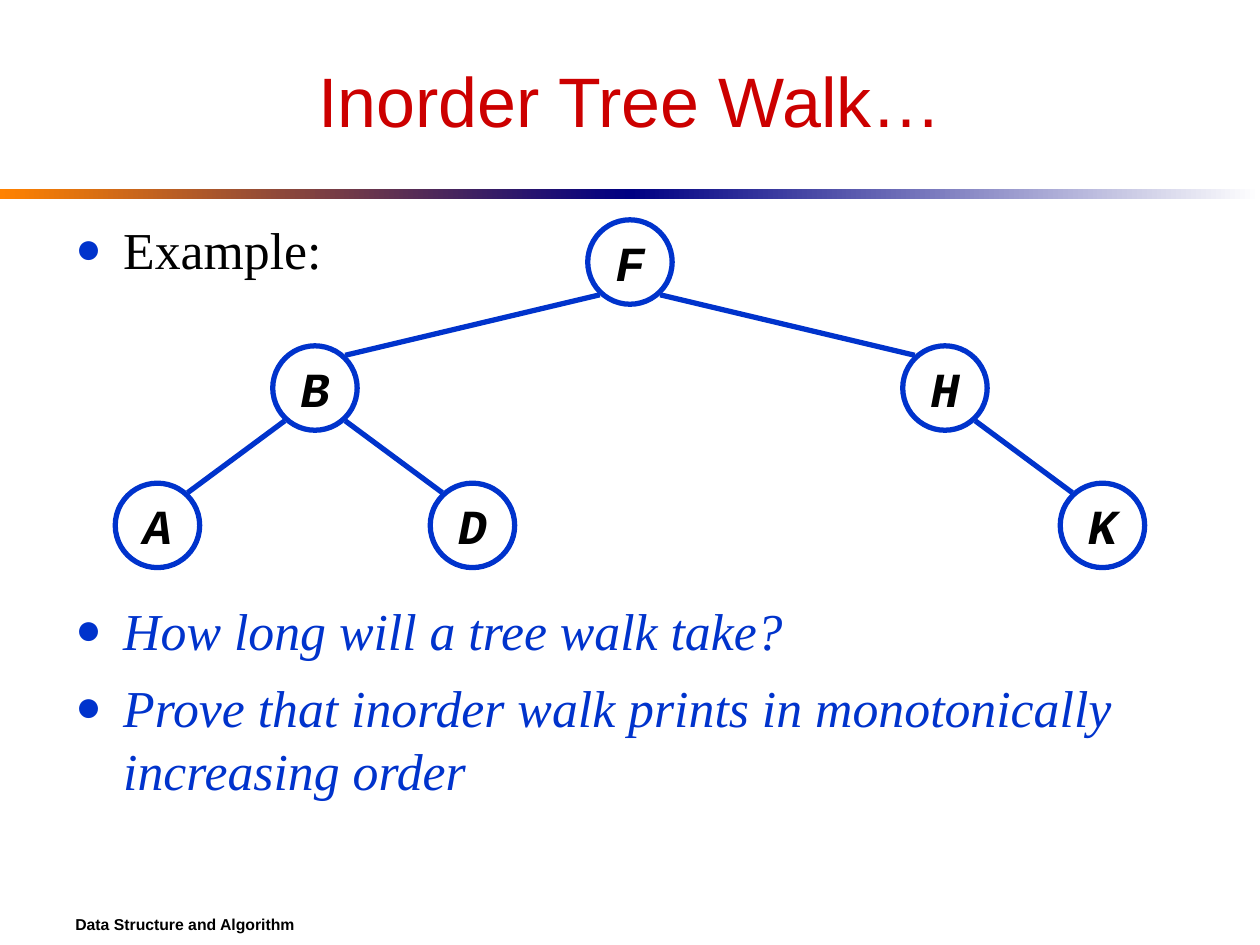
import lxml.etree
import pptx
import pptx.dml.color
import pptx.enum.shapes
import pptx.enum.text
import pptx.oxml.ns
import pptx.util

Inches = pptx.util.Inches
Pt = pptx.util.Pt
RGBColor = pptx.dml.color.RGBColor
ShapeType = pptx.enum.shapes.MSO_SHAPE
Align = pptx.enum.text.PP_ALIGN
Anchor = pptx.enum.text.MSO_ANCHOR
qn = pptx.oxml.ns.qn

BLUE = RGBColor(0x00, 0x33, 0xCC)
NAVY = RGBColor(0x00, 0x00, 0x82)
ORANGE = RGBColor(0xFF, 0x82, 0x00)
RED = RGBColor(0xCC, 0x00, 0x00)
BLACK = RGBColor(0, 0, 0)
WHITE = RGBColor(0xFF, 0xFF, 0xFF)


def write(paragraph, text, color, **font_values):
    run = paragraph.add_run()
    run.text = text
    run.font.color.rgb = color
    for name, value in font_values.items():
        setattr(run.font, name, value)


def add_text_box(left, top, width, height, anchor):
    box = slide.shapes.add_textbox(Inches(left), Inches(top), Inches(width), Inches(height))
    box.text_frame.vertical_anchor = anchor
    box.text_frame.word_wrap = True
    return box.text_frame


presentation = pptx.Presentation()
presentation.slide_width = Inches(10)
presentation.slide_height = Inches(7.5)
slide = presentation.slides.add_slide(presentation.slide_layouts[6])

for left, colors in [(0, (ORANGE, NAVY)), (5, (NAVY, WHITE))]:
    bar = slide.shapes.add_shape(
        ShapeType.RECTANGLE, Inches(left), Inches(1.5), Inches(5), Inches(0.08))
    bar.shadow.inherit = False
    bar.line.fill.background()
    bar.fill.gradient()
    bar.fill.gradient_angle = 0
    for position, (stop, color) in enumerate(zip(bar.fill.gradient_stops, colors)):
        stop.position = position
        stop.color.rgb = color

footer = add_text_box(0.5, 7.17, 9, 0.33, Anchor.MIDDLE)
write(footer.paragraphs[0], "Data Structure and Algorithm", BLACK,
      name="Arial", size=Pt(9), bold=True)

title = add_text_box(0.5, 0.25, 9, 1.08, Anchor.MIDDLE)
title.paragraphs[0].alignment = Align.CENTER
write(title.paragraphs[0], "Inorder Tree Walk…", RED, name="Arial", size=Pt(40))

body = add_text_box(0.5, 1.67, 9, 4.75, Anchor.TOP)
bullets = [
    ("Example:", BLACK, False, 0),
    ("How long will a tree walk take?", BLUE, True, 182),
    ("Prove that inorder walk prints in monotonically increasing order", BLUE, True, 8),
]
for index, (text, color, italic, space_before) in enumerate(bullets):
    paragraph = body.add_paragraph() if index else body.paragraphs[0]
    paragraph.space_before = Pt(space_before)
    paragraph.line_spacing = Pt(36)
    write(paragraph, text, color, name="Times New Roman", size=Pt(29.6), italic=italic)
    properties = paragraph._p.get_or_add_pPr()
    properties.set("marL", str(Inches(0.38)))
    properties.set("indent", str(-Inches(0.38)))
    bullet_color = lxml.etree.SubElement(properties, qn("a:buClr"))
    lxml.etree.SubElement(bullet_color, qn("a:srgbClr"), val=str(BLUE))
    lxml.etree.SubElement(properties, qn("a:buSzPct"), val="85000")
    lxml.etree.SubElement(properties, qn("a:buFont"), typeface="Times New Roman")
    lxml.etree.SubElement(properties, qn("a:buChar"), char="●")

diameter = 0.67
nodes = {
    "F": (5, 2.08), "B": (2.5, 3.08), "H": (7.5, 3.08),
    "K": (8.75, 4.17), "D": (3.75, 4.17), "A": (1.25, 4.17),
}
for letter, (x, y) in nodes.items():
    node = slide.shapes.add_shape(
        ShapeType.OVAL, Inches(x - diameter / 2), Inches(y - diameter / 2),
        Inches(diameter), Inches(diameter))
    node.shadow.inherit = False
    node.fill.solid()
    node.fill.fore_color.rgb = WHITE
    node.line.color.rgb = BLUE
    node.line.width = Pt(3)
    node.text_frame.word_wrap = False
    node.text_frame.vertical_anchor = Anchor.MIDDLE
    paragraph = node.text_frame.paragraphs[0]
    paragraph.alignment = Align.CENTER
    write(paragraph, letter, BLACK, name="Courier New", size=Pt(28), bold=True, italic=True)

for parent, child in ["BA", "BD", "FB", "FH", "HK"]:
    parent_x, parent_y = nodes[parent]
    child_x, child_y = nodes[child]
    side = 0.24 if child_x > parent_x else -0.24
    edge = slide.shapes.add_connector(
        pptx.enum.shapes.MSO_CONNECTOR.STRAIGHT,
        Inches(parent_x + side), Inches(parent_y + 0.26),
        Inches(child_x - side), Inches(child_y - 0.26))
    edge.line.color.rgb = BLUE
    edge.line.width = Pt(3)
    lxml.etree.SubElement(edge._element.spPr, qn("a:effectLst"))

presentation.save("out.pptx")
